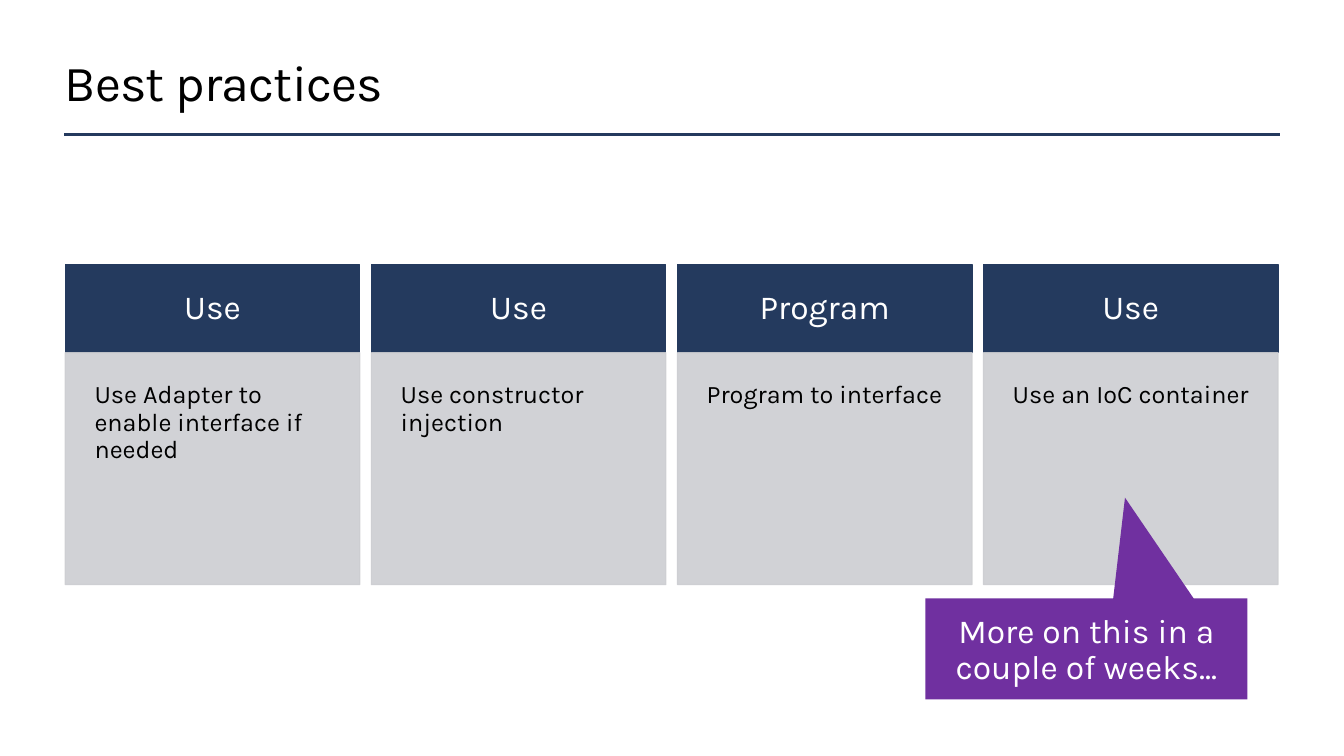
"""Build the "Best practices" slide: four advice cards and a callout."""
from lxml import etree
from pptx import Presentation
from pptx.dml.color import RGBColor
from pptx.enum.shapes import MSO_CONNECTOR, MSO_SHAPE
from pptx.enum.text import MSO_ANCHOR, MSO_AUTO_SIZE, PP_ALIGN
from pptx.oxml.ns import qn
from pptx.util import Pt

LEFT, CENTER = PP_ALIGN.LEFT, PP_ALIGN.CENTER
TOP, MIDDLE = MSO_ANCHOR.TOP, MSO_ANCHOR.MIDDLE
NO_AUTOFIT = MSO_AUTO_SIZE.NONE
RECTANGLE, CALLOUT = MSO_SHAPE.RECTANGLE, MSO_SHAPE.RECTANGULAR_CALLOUT
STRAIGHT = MSO_CONNECTOR.STRAIGHT
NAVY, GRAY, PURPLE = "243A5E", "CDCED2", "7030A0"
BLACK, WHITE = "000000", "FFFFFF"


def write(shape, text, size, color, align=LEFT, anchor=TOP, insets=(0, 0, 0, 0), spacing=0.9):
    frame = shape.text_frame
    frame.text = text
    frame.word_wrap = True
    frame.auto_size = NO_AUTOFIT
    frame.vertical_anchor = anchor
    frame.margin_left, frame.margin_top, frame.margin_right, frame.margin_bottom = map(Pt, insets)
    paragraph = frame.paragraphs[0]
    paragraph.alignment = align
    paragraph.line_spacing = spacing
    font = paragraph.runs[0].font
    font.name = "Karla"
    font.size = Pt(size)
    font.color.rgb = RGBColor.from_string(color)


def add_box(kind, left, top, width, height, color, alpha=100, outlined=True):
    box = slide.shapes.add_shape(kind, Pt(left), Pt(top), Pt(width), Pt(height))
    box.shadow.inherit = False
    box.fill.solid()
    box.fill.fore_color.rgb = RGBColor.from_string(color)
    if outlined:
        box.line.width = Pt(0.85)
        box.line.color.rgb = RGBColor.from_string(color)
    else:
        box.line.fill.background()
    if alpha < 100:
        for tint in box.element.spPr.iter(qn("a:srgbClr")):
            etree.SubElement(tint, qn("a:alpha")).set("val", str(alpha * 1000))
    return box


deck = Presentation()
deck.slide_width, deck.slide_height = Pt(960), Pt(540)
slide = deck.slides.add_slide(deck.slide_layouts[5])

title = slide.shapes.title
title.left, title.top, title.width, title.height = Pt(46), Pt(36), Pt(868), Pt(44)
write(title, "Best practices", 36, BLACK, anchor=MIDDLE, spacing=1.0)
title.text_frame.paragraphs[0].runs[0].font._element.set("spc", "-50")

title_rule = slide.shapes.add_connector(STRAIGHT, Pt(46), Pt(96), Pt(914.4), Pt(96))
title_rule.line.width = Pt(2)
title_rule.line.color.rgb = RGBColor.from_string(NAVY)
etree.SubElement(title_rule.element.spPr, qn("a:effectLst"))

practices = [
    ("Use", "Use Adapter to enable interface if needed"),
    ("Use", "Use constructor injection"),
    ("Program", "Program to interface"),
    ("Use", "Use an IoC container"),
]
card_left, card_pitch, card_width = 46.7, 218.6, 210.4
for index, (heading, advice) in enumerate(practices):
    left = card_left + index * card_pitch
    header = add_box(RECTANGLE, left, 189, card_width, 63, NAVY)
    write(header, heading, 24, WHITE, CENTER, MIDDLE, (16.6, 16.6, 16.6, 16.6))
    body = add_box(RECTANGLE, left, 252, card_width, 165.6, GRAY, alpha=90)
    write(body, advice, 18, BLACK, insets=(20.9, 20.9, 18, 20.9))

callout = add_box(CALLOUT, 661, 427.5, 230, 72, PURPLE, outlined=False)
callout.adjustments[0], callout.adjustments[1] = 0.12, -1.5
write(callout, "More on this in a couple of weeks...", 24, WHITE, CENTER,
      insets=(14.4, 11.5, 14.4, 11.5))

deck.save("out.pptx")
